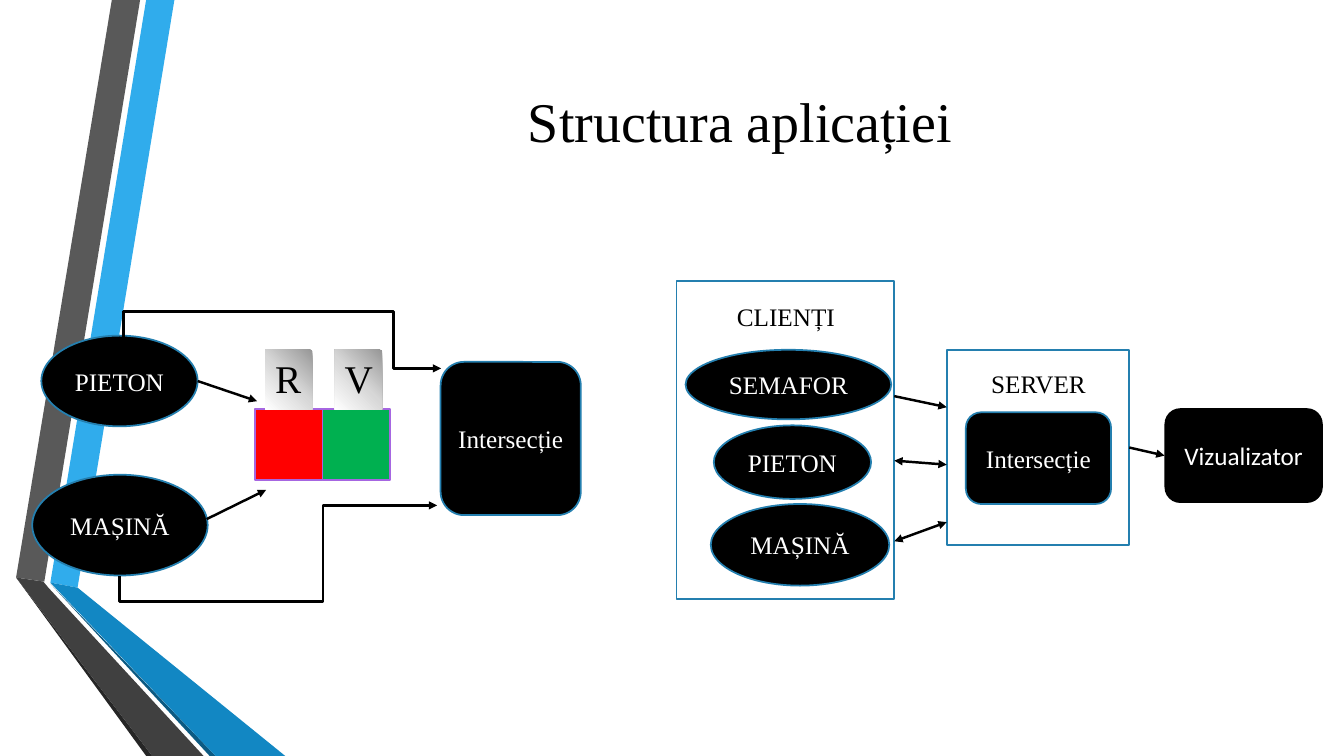
"""Build the application structure slide with its client, server and crossing diagrams."""
from dataclasses import dataclass
from typing import Optional

from lxml import etree
from pptx import Presentation, util as u
from pptx.dml import color
from pptx.enum import shapes, text
from pptx.oxml import ns

Point = tuple[float, float]
Box = tuple[float, float, float, float]
KIND = shapes.MSO_SHAPE


@dataclass(frozen=True)
class Theme:
    black: str = "000000"
    white: str = "FFFFFF"
    outline: str = "247FAF"
    light_edge: str = "A666E1"
    red: str = "FF0000"
    green: str = "00B050"
    shades: tuple[str, ...] = ("979797", "D7D7D7", "FFFFFF")
    serif: str = "Times New Roman"
    sans: str = "Calibri"
    title_size: float = 40
    letter_size: float = 28
    label_size: float = 18
    outline_width: float = 1.25
    arrow_width: float = 1.75


THEME = Theme()


@dataclass(frozen=True)
class Band:
    fill: str
    points: tuple[Point, ...]


@dataclass(frozen=True)
class Node:
    kind: KIND
    box: Box
    label: str = ""
    fill: Optional[str] = THEME.black
    line: Optional[str] = THEME.outline
    font: str = THEME.serif


@dataclass(frozen=True)
class Caption:
    label: str
    box: Box
    size: float = THEME.label_size
    align: text.PP_ALIGN = text.PP_ALIGN.CENTER
    shaded: bool = False


@dataclass(frozen=True)
class Arrow:
    start: Point
    end: Point
    both: bool = False
    rotation: int = 0
    bends: tuple[float, ...] = ()


BANDS = (
    Band("30ACEC", ((0.5, 5.78), (0.77, 5.83), (1.73, 0), (1.45, 0))),
    Band("595959", ((1.39, 0), (1.11, 0), (0.16, 5.73), (0.44, 5.77))),
    Band("262626", ((0.16, 5.73), (1.45, 7.5), (1.51, 7.5))),
    Band("0C5A82", ((0.5, 5.79), (2.08, 7.5), (2.14, 7.5))),
    Band("1287C3", ((0.5, 5.78), (2.14, 7.5), (2.83, 7.5), (0.77, 5.83))),
    Band("404040", ((2.02, 7.5), (0.48, 5.83), (0.43, 5.77), (0.16, 5.73), (1.51, 7.5))),
)
NODES = (
    Node(KIND.OVAL, (0.41, 3.33, 1.55, 0.9), "PIETON"),
    Node(KIND.OVAL, (0.32, 4.71, 1.74, 1), "MAȘINĂ"),
    Node(KIND.RECTANGLE, (2.53, 4.06, 0.67, 0.7), fill=THEME.red, line=THEME.light_edge),
    Node(KIND.RECTANGLE, (3.2, 4.06, 0.67, 0.7), fill=THEME.green, line=THEME.light_edge),
    Node(KIND.ROUNDED_RECTANGLE, (4.37, 3.59, 1.39, 1.52), "Intersecție"),
    Node(KIND.ROUNDED_RECTANGLE, (9.58, 4.09, 1.44, 0.91), "Intersecție"),
    Node(KIND.OVAL, (7.08, 4.22, 1.56, 0.73), "PIETON"),
    Node(KIND.OVAL, (7.05, 5, 1.77, 0.81), "MAȘINĂ"),
    Node(KIND.OVAL, (6.8, 3.47, 2.04, 0.69), "SEMAFOR"),
    Node(KIND.RECTANGLE, (6.71, 2.79, 2.16, 3.15), fill=None),
    Node(KIND.RECTANGLE, (9.39, 3.47, 1.81, 1.94), fill=None),
    Node(KIND.ROUNDED_RECTANGLE, (11.55, 4.05, 1.57, 0.94), "Vizualizator",
         line=None, font=THEME.sans),
)
CAPTIONS = (
    Caption("R", (2.63, 3.47, 0.47, 0.59), THEME.letter_size, text.PP_ALIGN.LEFT, True),
    Caption("V", (3.32, 3.47, 0.47, 0.59), THEME.letter_size, text.PP_ALIGN.LEFT, True),
    Caption("CLIENȚI", (6.92, 2.94, 1.75, 0.34)),
    Caption("SERVER", (9.58, 3.61, 1.44, 0.34)),
)
ARROWS = (
    Arrow((1.96, 3.78), (2.55, 3.98)),
    Arrow((2.05, 5.15), (2.64, 4.86)),
    Arrow((2.95, 1.93), (2.65, 5.08), rotation=270, bends=(-0.88, 0.85)),
    Arrow((3.11, 6.94), (2.41, 3.79), rotation=90, bends=(-0.36, 0.64)),
    Arrow((9.39, 4.61), (8.87, 4.57), both=True),
    Arrow((8.87, 3.93), (9.39, 4.04)),
    Arrow((9.39, 5.18), (8.87, 5.37), both=True),
    Arrow((11.2, 4.44), (11.55, 4.52)),
)


def inches(values: tuple[float, ...]) -> list[u.Length]:
    return [u.Inches(value) for value in values]


def rgb(value: str) -> color.RGBColor:
    return color.RGBColor.from_string(value)


def write(shape, label: str, *, size: float = THEME.label_size, font: str = THEME.serif,
          ink: str = THEME.black, align=text.PP_ALIGN.CENTER,
          anchor=text.MSO_ANCHOR.MIDDLE, side: float = 0) -> None:
    frame = shape.text_frame
    frame.word_wrap = True
    frame.auto_size = text.MSO_AUTO_SIZE.NONE
    frame.vertical_anchor = anchor
    frame.margin_left = frame.margin_right = u.Inches(side)
    para = frame.paragraphs[0]
    para.alignment = align
    span = para.add_run()
    span.text = label
    span.font.size = u.Pt(size)
    span.font.name = font
    span.font.color.rgb = rgb(ink)


def paint(shape, fill: Optional[str], line: Optional[str] = None) -> None:
    shape.shadow.inherit = False
    if fill:
        shape.fill.solid()
        shape.fill.fore_color.rgb = rgb(fill)
    else:
        shape.fill.background()
    if line:
        shape.line.color.rgb = rgb(line)
        shape.line.width = u.Pt(THEME.outline_width)
    else:
        shape.line.fill.background()


def shade(shape) -> None:
    shape.fill.gradient()
    shape.fill.gradient_angle = 225
    stops = shape.element.spPr.find(".//" + ns.qn("a:gsLst"))
    for stop in list(stops):
        stops.remove(stop)
    for index, value in enumerate(THEME.shades):
        stop = etree.SubElement(stops, ns.qn("a:gs"), pos=str(index * 50000))
        etree.SubElement(stop, ns.qn("a:srgbClr"), val=value)


def draw_band(page, band: Band) -> None:
    points = [inches(point) for point in band.points]
    builder = page.shapes.build_freeform(*points[0])
    builder.add_line_segments(points[1:], close=True)
    paint(builder.convert_to_shape(), band.fill)


def draw_node(page, node: Node) -> None:
    shape = page.shapes.add_shape(node.kind, *inches(node.box))
    paint(shape, node.fill, node.line)
    if node.label:
        write(shape, node.label, font=node.font, ink=THEME.white)


def draw_caption(page, caption: Caption) -> None:
    box = page.shapes.add_textbox(*inches(caption.box))
    if caption.shaded:
        shade(box)
    write(box, caption.label, size=caption.size, align=caption.align,
          anchor=text.MSO_ANCHOR.TOP, side=0.1)


def draw_arrow(page, arrow: Arrow) -> None:
    kind = shapes.MSO_CONNECTOR.ELBOW if arrow.bends else shapes.MSO_CONNECTOR.STRAIGHT
    link = page.shapes.add_connector(kind, *inches(arrow.start + arrow.end))
    link.line.color.rgb = rgb(THEME.black)
    link.line.width = u.Pt(THEME.arrow_width)
    outline = link.line._get_or_add_ln()
    for end in ("headEnd", "tailEnd") if arrow.both else ("tailEnd",):
        etree.SubElement(outline, ns.qn(f"a:{end}"), type="triangle")
    properties = link.element.spPr
    etree.SubElement(properties, ns.qn("a:effectLst"))
    if arrow.bends:
        properties.find(ns.qn("a:xfrm")).set("rot", str(arrow.rotation * 60000))
        geometry = properties.find(ns.qn("a:prstGeom"))
        geometry.set("prst", "bentConnector4")
        guides = geometry.find(ns.qn("a:avLst"))
        for index, bend in enumerate(arrow.bends, 1):
            etree.SubElement(guides, ns.qn("a:gd"), name=f"adj{index}",
                             fmla=f"val {round(bend * 100000)}")


def main() -> None:
    deck = Presentation()
    deck.slide_width, deck.slide_height = inches((13.33, 7.5))
    page = deck.slides.add_slide(deck.slide_layouts[5])
    title = page.shapes.title
    title.left, title.top, title.width, title.height = inches((1.66, 0.78, 11.36, 0.82))
    write(title, "Structura aplicației", size=THEME.title_size, side=0.1)
    for items, draw in ((BANDS, draw_band), (NODES, draw_node),
                        (CAPTIONS, draw_caption), (ARROWS, draw_arrow)):
        for item in items:
            draw(page, item)
    deck.save("out.pptx")


if __name__ == "__main__":
    main()
